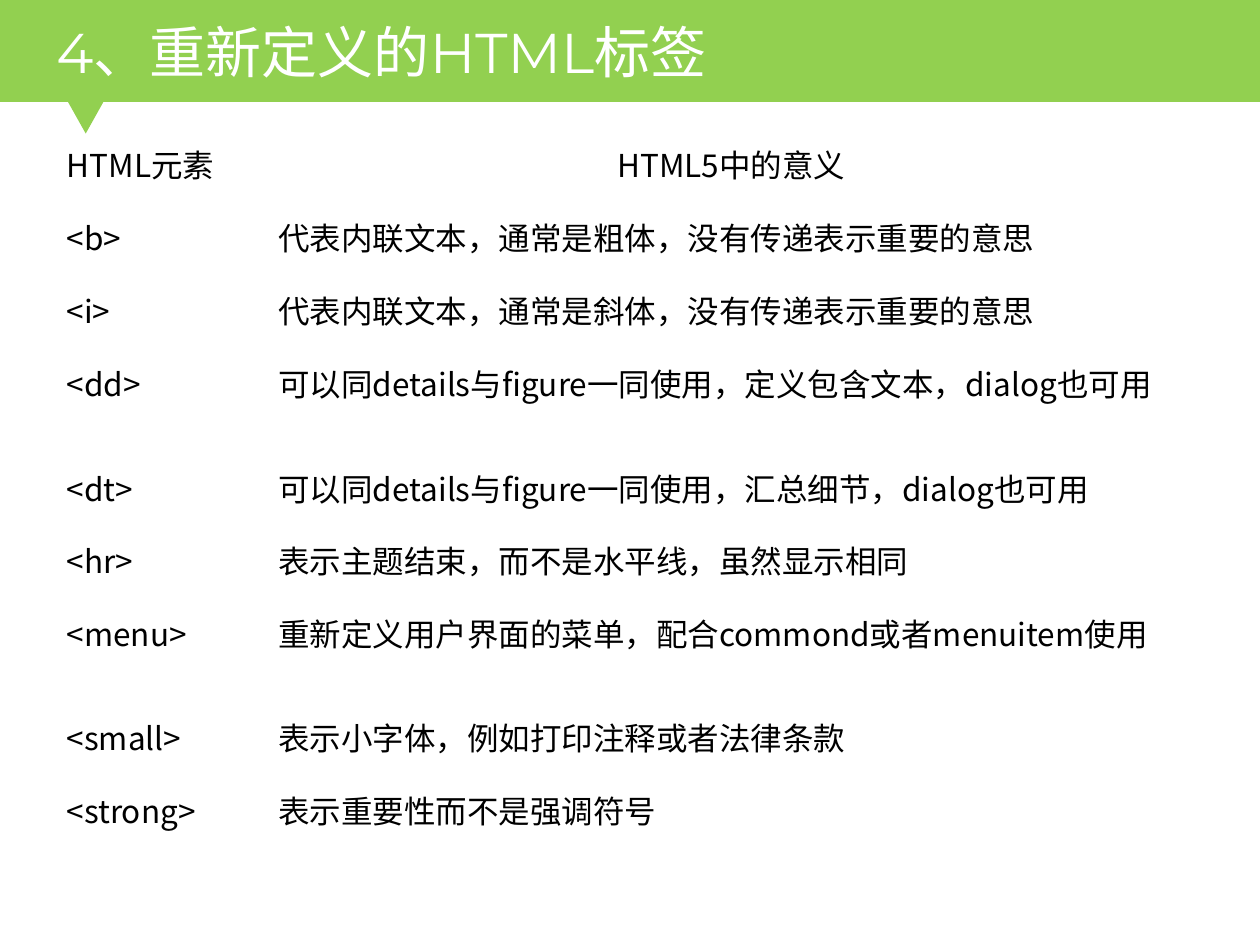
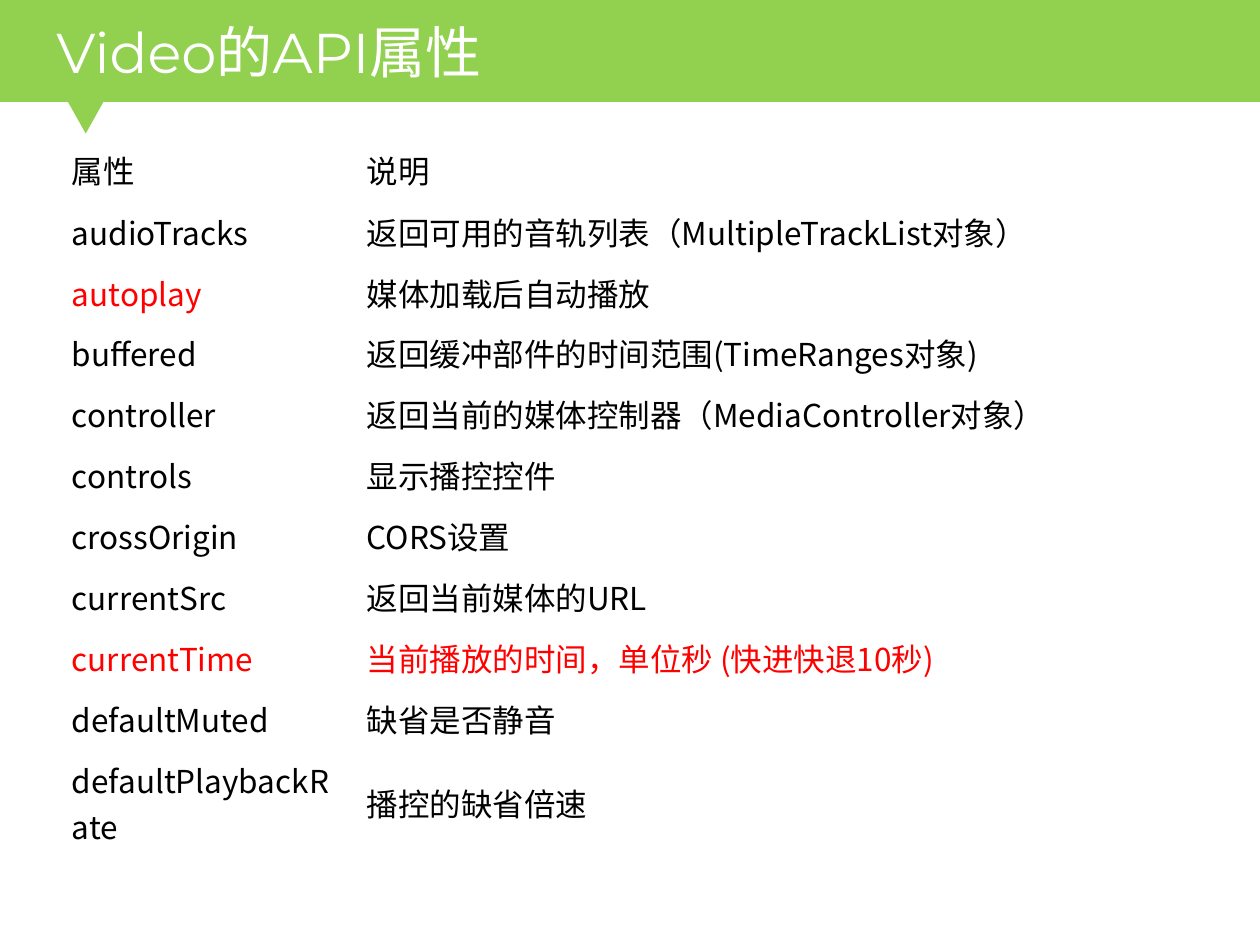
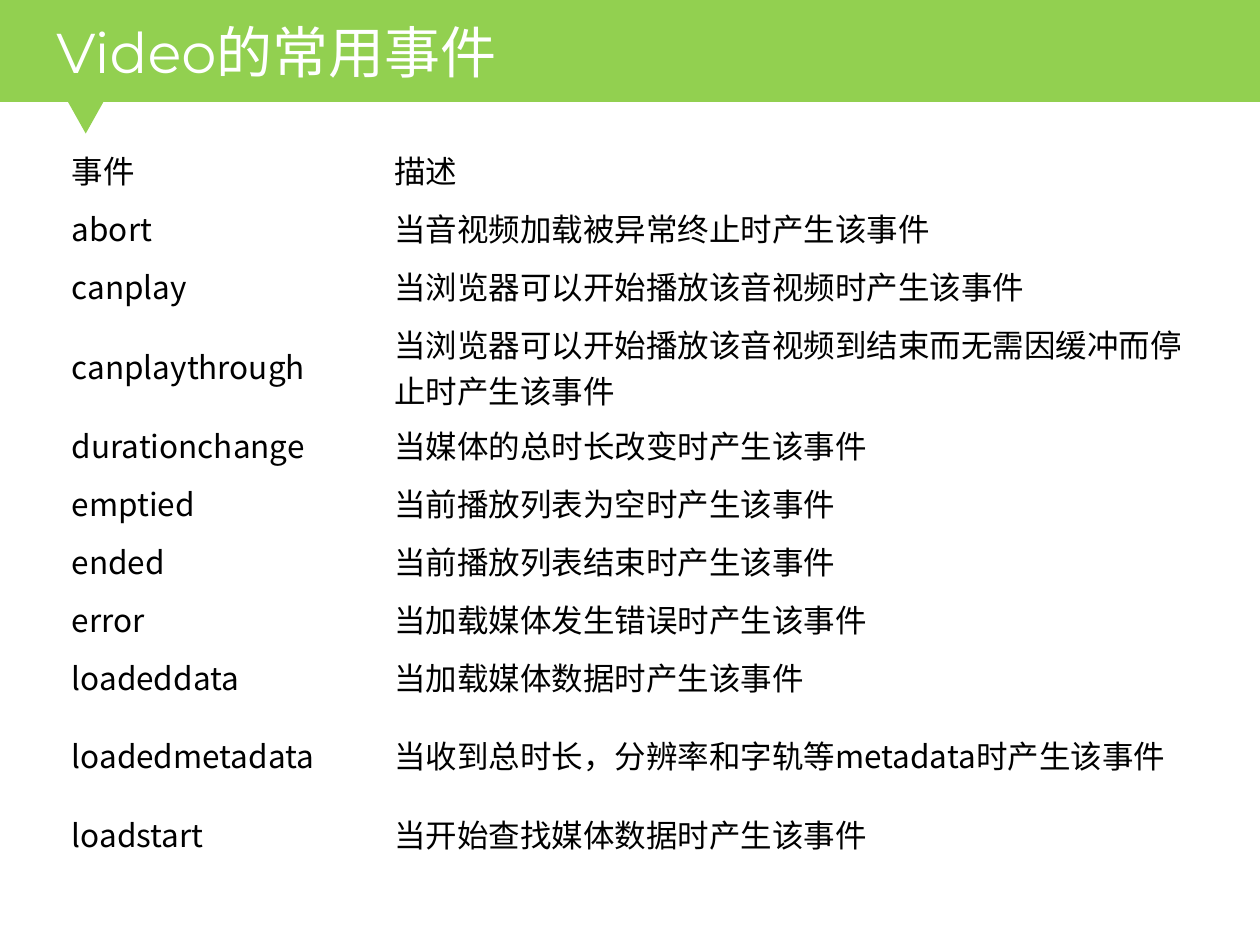
from dataclasses import dataclass, field

import pptx
import pptx.dml.color
import pptx.enum.shapes
import pptx.enum.text
import pptx.oxml
import pptx.oxml.ns
import pptx.presentation
import pptx.slide
import pptx.util

EMU_PER_PX = 9144  # 100 px to the inch

SHAPE = pptx.enum.shapes.MSO_SHAPE
ALIGN = pptx.enum.text.PP_ALIGN
ANCHOR = pptx.enum.text.MSO_ANCHOR


@dataclass(frozen=True)
class Theme:
    green: str = "92D050"
    white: str = "FFFFFF"
    black: str = "000000"
    red: str = "FF0000"
    title_font: str = "Montserrat"
    body_font: str = "Noto Sans CJK SC"
    title_size: int = 32
    body_size: int = 18


THEME = Theme()


@dataclass(frozen=True)
class Box:
    left: int
    top: int
    width: int
    height: int

    def emu(self) -> list[int]:
        return [px(v) for v in (self.left, self.top, self.width, self.height)]


@dataclass(frozen=True)
class CellStyle:
    align: ALIGN = ALIGN.JUSTIFY
    anchor: ANCHOR = ANCHOR.MIDDLE
    color: str = THEME.black


@dataclass(frozen=True)
class TableSlide:
    title: str
    left: int
    top: int
    cols: list[int]
    row_heights: list[int]
    rows: list[tuple[str, str]]
    style: CellStyle
    special: dict[tuple[int, int], CellStyle] = field(default_factory=dict)


# Shared frame
SLIDE = Box(0, 0, 1000, 750)
BAND = Box(0, 0, SLIDE.width, 81)
POINTER = Box(54, 81, 28, 25)
TITLE = Box(35, 6, 907, 76)

# Cell styles
TOP = CellStyle(anchor=ANCHOR.TOP)
TOP_LEFT = CellStyle(align=ALIGN.LEFT, anchor=ANCHOR.TOP)
TOP_CENTER = CellStyle(align=ALIGN.CENTER, anchor=ANCHOR.TOP)
MIDDLE = CellStyle()
MIDDLE_LEFT = CellStyle(align=ALIGN.LEFT)
MIDDLE_RED = CellStyle(color=THEME.red)

# Content
SLIDES = [
    TableSlide(
        title="4、重新定义的HTML标签",
        left=43, top=107, cols=[168, 739],
        row_heights=[58, 58, 58, 83, 57, 58, 83, 58, 58],
        rows=[
            ("HTML元素", "HTML5中的意义"),
            ("<b>", "代表内联文本，通常是粗体，没有传递表示重要的意思"),
            ("<i>", "代表内联文本，通常是斜体，没有传递表示重要的意思"),
            ("<dd>", "可以同details与figure一同使用，定义包含文本，dialog也可用"),
            ("<dt>", "可以同details与figure一同使用，汇总细节，dialog也可用"),
            ("<hr>", "表示主题结束，而不是水平线，虽然显示相同"),
            ("<menu>", "重新定义用户界面的菜单，配合commond或者menuitem使用"),
            ("<small>", "表示小字体，例如打印注释或者法律条款"),
            ("<strong>", "表示重要性而不是强调符号"),
        ],
        style=TOP,
        special={(0, 1): TOP_CENTER, (2, 1): TOP_LEFT, (4, 1): TOP_LEFT},
    ),
    TableSlide(
        title="Video的API属性",
        left=47, top=112, cols=[234, 673],
        row_heights=[48, 48, 48, 48, 48, 49, 48, 49, 48, 49, 84],
        rows=[
            ("属性", "说明"),
            ("audioTracks", "返回可用的音轨列表（MultipleTrackList对象）"),
            ("autoplay", "媒体加载后自动播放"),
            ("buffered", "返回缓冲部件的时间范围(TimeRanges对象)"),
            ("controller", "返回当前的媒体控制器（MediaController对象）"),
            ("controls", "显示播控控件"),
            ("crossOrigin", "CORS设置"),
            ("currentSrc", "返回当前媒体的URL"),
            ("currentTime", "当前播放的时间，单位秒 (快进快退10秒)"),
            ("defaultMuted", "缺省是否静音"),
            ("defaultPlaybackRate", "播控的缺省倍速"),
        ],
        style=MIDDLE,
        special={(0, 0): TOP, (0, 1): TOP, (2, 0): MIDDLE_RED,
                 (8, 0): MIDDLE_RED, (8, 1): MIDDLE_RED},
    ),
    TableSlide(
        title="Video的常用事件",
        left=47, top=112, cols=[256, 651],
        row_heights=[46, 46, 46, 80, 46, 46, 46, 46, 46, 79, 46],
        rows=[
            ("事件", "描述"),
            ("abort", "当音视频加载被异常终止时产生该事件"),
            ("canplay", "当浏览器可以开始播放该音视频时产生该事件"),
            ("canplaythrough", "当浏览器可以开始播放该音视频到结束而无需因缓冲而停止时产生该事件"),
            ("durationchange", "当媒体的总时长改变时产生该事件"),
            ("emptied", "当前播放列表为空时产生该事件"),
            ("ended", "当前播放列表结束时产生该事件"),
            ("error", "当加载媒体发生错误时产生该事件"),
            ("loadeddata", "当加载媒体数据时产生该事件"),
            ("loadedmetadata", "当收到总时长，分辨率和字轨等metadata时产生该事件"),
            ("loadstart", "当开始查找媒体数据时产生该事件"),
        ],
        style=MIDDLE_LEFT,
    ),
]


# Helpers
def px(n: int) -> int:
    return pptx.util.Emu(n * EMU_PER_PX)


def rgb(color: str) -> pptx.dml.color.RGBColor:
    return pptx.dml.color.RGBColor.from_string(color)


def set_attrs(target: object, values: dict[str, object]) -> None:
    for name, value in values.items():
        setattr(target, name, value)


def write(p, text: str, font: str, size: int, color: str) -> None:
    r = p.add_run()
    r.text = text
    set_attrs(r.font, {"name": font, "size": pptx.util.Pt(size)})
    r.font.color.rgb = rgb(color)
    ea = pptx.oxml.parse_xml(
        f'<a:ea {pptx.oxml.ns.nsdecls("a")} typeface="{THEME.body_font}"/>')
    r.font._element.append(ea)


def add_filled(slide: pptx.slide.Slide, kind: SHAPE, box: Box, rotation: int = 0) -> None:
    s = slide.shapes.add_shape(kind, *box.emu())
    s.rotation = rotation
    s.shadow.inherit = False
    s.fill.solid()
    s.fill.fore_color.rgb = rgb(THEME.green)
    s.line.fill.background()


# Slide parts
def add_frame(slide: pptx.slide.Slide, title: str) -> None:
    add_filled(slide, SHAPE.RECTANGLE, BAND)
    add_filled(slide, SHAPE.ISOSCELES_TRIANGLE, POINTER, rotation=180)
    tf = slide.shapes.add_textbox(*TITLE.emu()).text_frame
    set_attrs(tf, {"word_wrap": True, "vertical_anchor": ANCHOR.MIDDLE})
    p = tf.paragraphs[0]
    p.line_spacing = 0.9
    write(p, title, THEME.title_font, THEME.title_size, THEME.white)


def add_grid(slide: pptx.slide.Slide, data: TableSlide) -> None:
    box = Box(data.left, data.top, sum(data.cols), sum(data.row_heights))
    table = slide.shapes.add_table(len(data.rows), len(data.cols), *box.emu()).table
    set_attrs(table, {"first_row": False, "horz_banding": False})
    for column, width in zip(table.columns, data.cols):
        column.width = px(width)
    for i, (height, texts) in enumerate(zip(data.row_heights, data.rows)):
        table.rows[i].height = px(height)
        for j, text in enumerate(texts):
            style = data.special.get((i, j), data.style)
            cell = table.cell(i, j)
            cell.fill.background()
            cell.vertical_anchor = style.anchor
            p = cell.text_frame.paragraphs[0]
            p.alignment = style.align
            write(p, text, THEME.body_font, THEME.body_size, style.color)


def main() -> None:
    prs = pptx.Presentation()
    set_attrs(prs, {"slide_width": px(SLIDE.width), "slide_height": px(SLIDE.height)})
    for data in SLIDES:
        slide = prs.slides.add_slide(prs.slide_layouts[6])
        add_frame(slide, data.title)
        add_grid(slide, data)
    prs.save("out.pptx")


if __name__ == "__main__":
    main()
